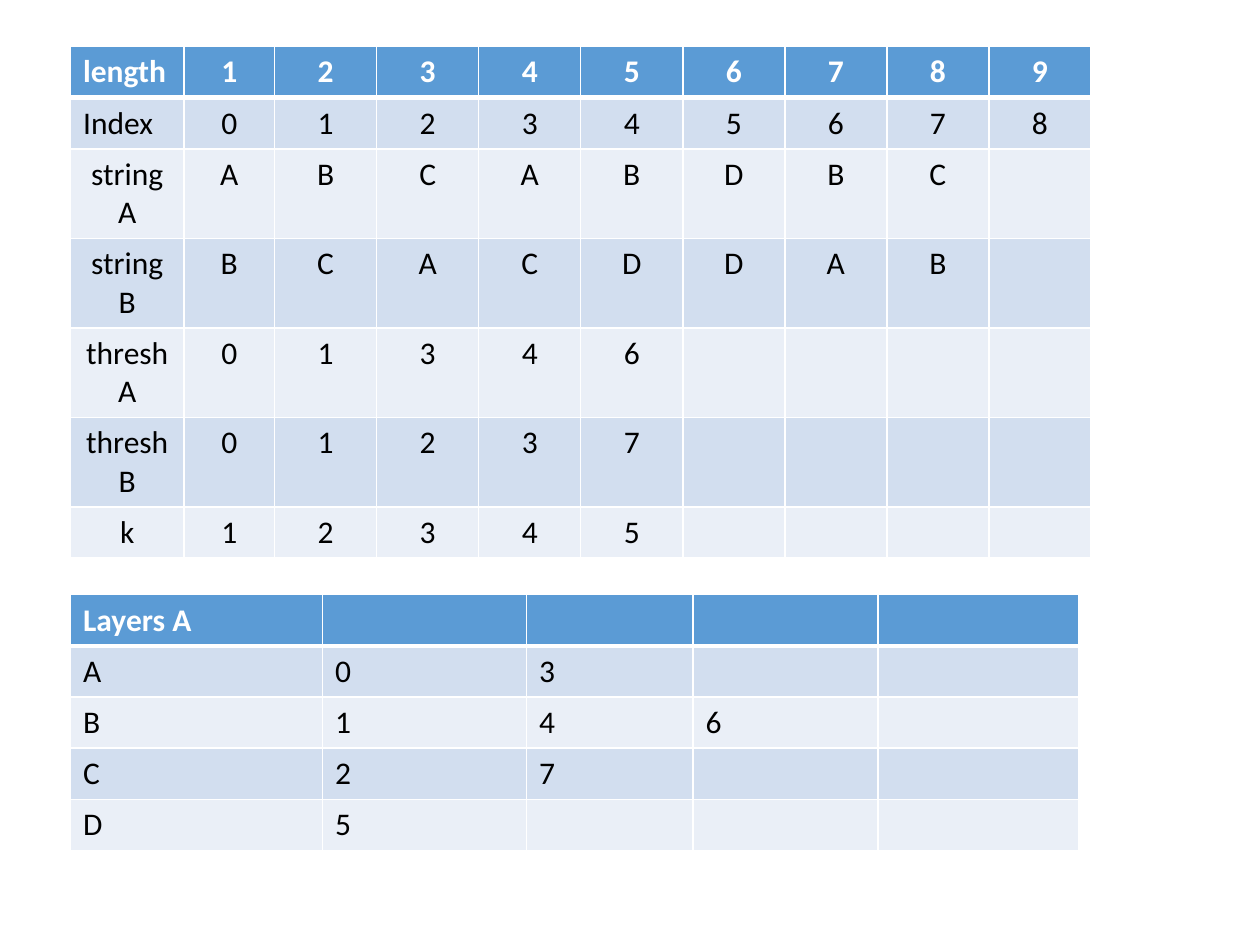
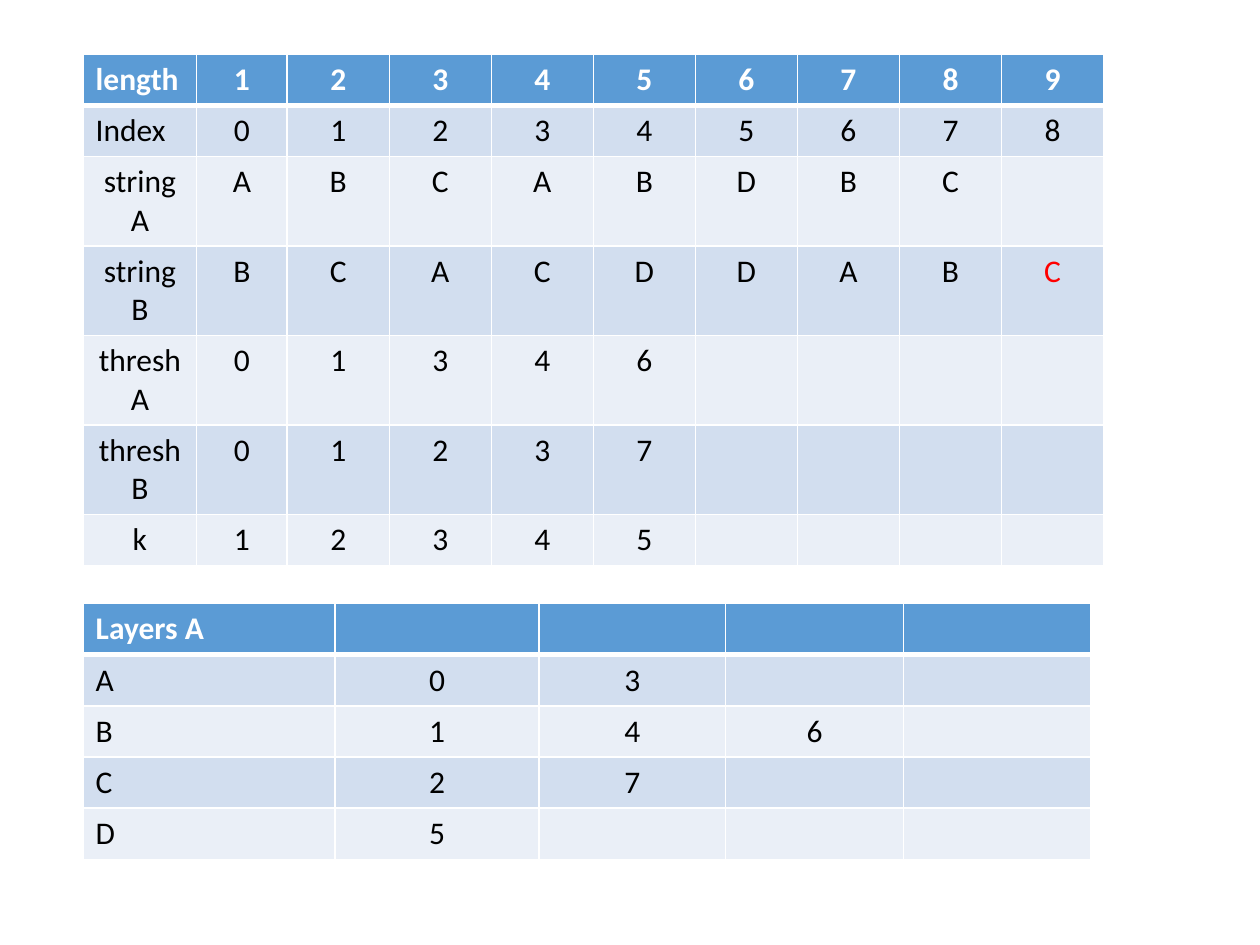
from dataclasses import dataclass

from lxml import etree
from pptx import Presentation
from pptx import util as u
from pptx.dml.color import RGBColor
from pptx.enum import text
from pptx.oxml.ns import qn
from pptx.slide import Slide
from pptx.table import _Cell

COLORS = {
    "header": "5B9BD5",
    "band_dark": "D2DEEF",
    "band_light": "EAEFF7",
    "white": "FFFFFF",
    "black": "000000",
    "added": "FF0000",
}
FONT = "Calibri"
ROW_HEIGHT = u.Inches(2.03) // 5
LEFT, CENTER = text.PP_ALIGN.LEFT, text.PP_ALIGN.CENTER

STRING_COLUMNS = (0.9, 0.72) + (0.81,) * 8
STRING_ROWS = (
    ("length", "123456789"),
    ("Index", "012345678"),
    ("stringA", "ABCABDBC"),
    ("stringB", "BCACDDAB"),
    ("threshA", "01346"),
    ("threshB", "01237"),
    ("k", "12345"),
)
EXTENDED_ROWS = tuple(
    (label, values + "C" if label == "stringB" else values)
    for label, values in STRING_ROWS
)
LAYER_ROWS = (
    ("Layers A", ""),
    ("A", "03"),
    ("B", "146"),
    ("C", "27"),
    ("D", "5"),
)


@dataclass(frozen=True)
class TableSpec:
    """One table; each character of a row's values fills one cell."""

    left: float
    top: float
    columns: tuple[float, ...]
    rows: tuple[tuple[str, str], ...]
    left_labels: int
    value_align: text.PP_ALIGN = CENTER
    added_cell: tuple[int, int] | None = None


SLIDES = (
    (
        TableSpec(0.56, 0.37, STRING_COLUMNS, STRING_ROWS, left_labels=2),
        TableSpec(0.56, 4.72, (2, 1.62, 1.32, 1.47, 1.59), LAYER_ROWS,
                  left_labels=5, value_align=LEFT),
    ),
    (
        TableSpec(0.66, 0.43, STRING_COLUMNS, EXTENDED_ROWS, left_labels=2,
                  added_cell=(3, 9)),
        TableSpec(0.66, 4.79, (2, 1.62, 1.48, 1.41, 1.49), LAYER_ROWS,
                  left_labels=5),
    ),
)


def write_text(cell: _Cell, content: str, *, color: str, bold: bool = False,
               align: text.PP_ALIGN = LEFT, size: float = 18) -> None:
    paragraph = cell.text_frame.paragraphs[0]
    paragraph.alignment = align
    if content:
        font = paragraph.add_run().font
        paragraph.runs[0].text = content
    else:
        font = paragraph.font
    font.name, font.size, font.bold = FONT, u.Pt(size), bold
    font.color.rgb = RGBColor.from_string(COLORS[color])


def set_borders(cell: _Cell, row: int) -> None:
    """Draw white borders, with a thick line between header and body."""
    widths = {"L": 1, "R": 1, "T": 3 if row == 1 else 1, "B": 3 if row == 0 else 1}
    properties = cell._tc.get_or_add_tcPr()
    for side, width in widths.items():
        line = etree.SubElement(properties, qn(f"a:ln{side}"), w=str(u.Pt(width)))
        fill = etree.SubElement(line, qn("a:solidFill"))
        etree.SubElement(fill, qn("a:srgbClr"), val=COLORS["white"])


def row_fill(row: int) -> str:
    if row == 0:
        return "header"
    return "band_dark" if row % 2 else "band_light"


def add_data_table(slide: Slide, spec: TableSpec) -> None:
    column_count = len(spec.columns)
    table = slide.shapes.add_table(
        len(spec.rows), column_count, u.Inches(spec.left), u.Inches(spec.top),
        u.Inches(sum(spec.columns)), ROW_HEIGHT * len(spec.rows),
    ).table
    for column, width in zip(table.columns, spec.columns):
        column.width = u.Inches(width)
    for row, (label, values) in enumerate(spec.rows):
        table.rows[row].height = ROW_HEIGHT
        contents = [label, *values] + [""] * (column_count - 1 - len(values))
        for column, content in enumerate(contents):
            cell = table.cell(row, column)
            set_borders(cell, row)
            cell.fill.solid()
            cell.fill.fore_color.rgb = RGBColor.from_string(COLORS[row_fill(row)])
            color = "white" if row == 0 else "black"
            if (row, column) == spec.added_cell:
                color = "added"
            is_left_label = column == 0 and row < spec.left_labels
            align = LEFT if is_left_label else spec.value_align
            write_text(cell, content, color=color, bold=row == 0, align=align)


def main() -> None:
    presentation = Presentation()
    presentation.slide_width = u.Inches(10)
    presentation.slide_height = u.Inches(7.5)
    blank_layout = presentation.slide_layouts[6]
    for specs in SLIDES:
        slide = presentation.slides.add_slide(blank_layout)
        for spec in specs:
            add_data_table(slide, spec)
    presentation.save("out.pptx")


if __name__ == "__main__":
    main()
